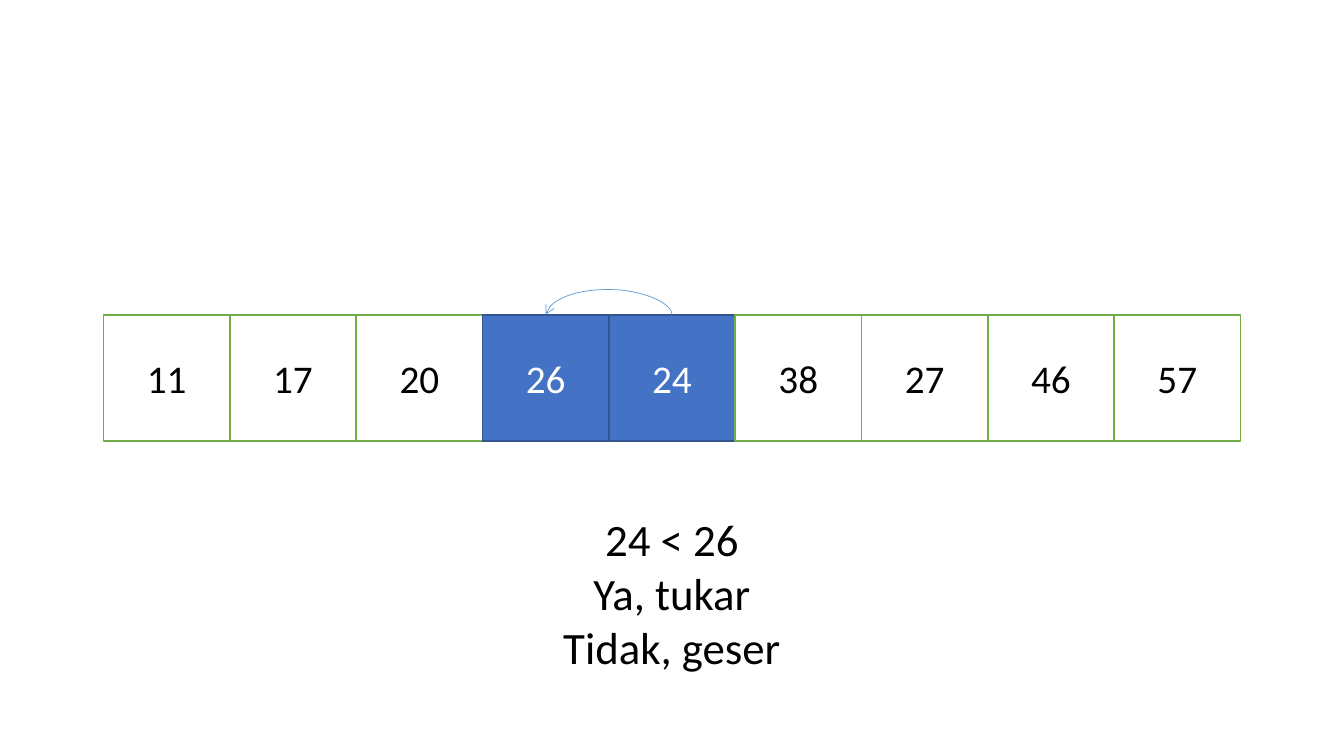
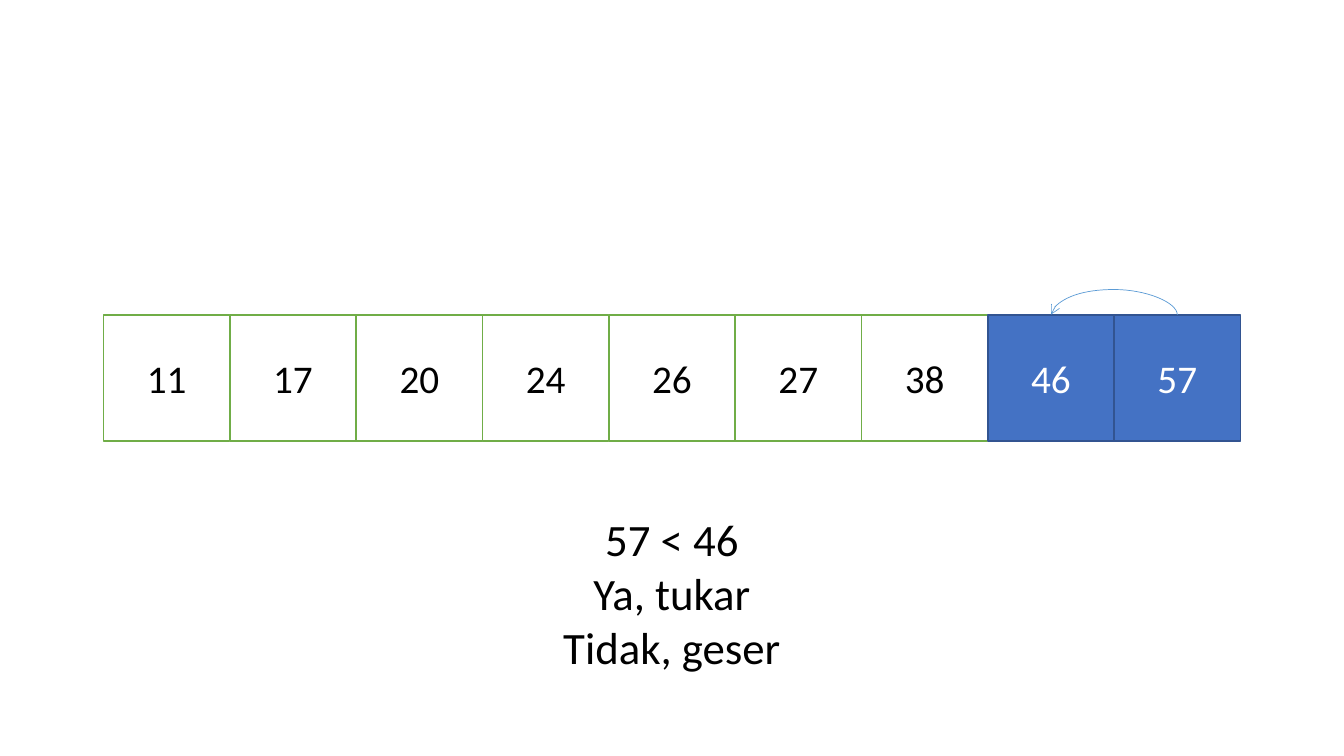
import pptx
import pptx.util
import pptx.dml.color
import pptx.enum.shapes
import pptx.enum.text
import pptx.oxml
import pptx.oxml.ns

# Shared look; lengths are px, 300 to the inch
PX = 3048
WIDE, HIGH = 4000, 2250
FONT = "Calibri"
COLORS = {
    "paper": "FFFFFF",
    "ink": "000000",
    "edge": "70AD47",
    "mark": "4472C4",
    "rim": "325491",
    "arc": "5B9BD5",
}
CELL, LEFT, TOP = 376, 308, 937
RISE = 80
NOTE = (1316, 1509, 1368, 516)

# Numbers in the row, and the position of the left one of the compared pair
STEPS = [
    ([11, 17, 20, 26, 24, 38, 27, 46, 57], 3),
    ([11, 17, 20, 24, 26, 27, 38, 46, 57], 7),
]


def px(*sizes):
    return [pptx.util.Emu(size * PX) for size in sizes]


def color(name):
    return pptx.dml.color.RGBColor.from_string(COLORS[name])


def style(frame, size, ink):
    for para in frame.paragraphs:
        para.alignment = pptx.enum.text.PP_ALIGN.CENTER
        for run in para.runs:
            run.font.name = FONT
            run.font.size = pptx.util.Pt(size)
            run.font.color.rgb = color(ink)


def add_cell(slide, index, value, active):
    fill, edge, ink = ("mark", "rim", "paper") if active else ("paper", "edge", "ink")
    box = slide.shapes.add_shape(
        pptx.enum.shapes.MSO_SHAPE.RECTANGLE,
        *px(LEFT + index * CELL, TOP, CELL, CELL))
    box.shadow.inherit = False
    box.fill.solid()
    box.fill.fore_color.rgb = color(fill)
    box.line.color.rgb = color(edge)
    box.line.width = pptx.util.Pt(1)
    box.text_frame.text = str(value)
    box.text_frame.vertical_anchor = pptx.enum.text.MSO_ANCHOR.MIDDLE
    style(box.text_frame, 28, ink)
    return box


def add_note(slide, text):
    box = slide.shapes.add_textbox(*px(*NOTE))
    frame = box.text_frame
    frame.word_wrap = True
    frame.auto_size = pptx.enum.text.MSO_AUTO_SIZE.SHAPE_TO_FIT_TEXT
    frame.text = text
    style(frame, 32, "ink")


def add_node(parent, tag, **attrs):
    node = pptx.oxml.parse_xml(f"<{tag} {pptx.oxml.ns.nsdecls('a')}/>")
    for key, value in attrs.items():
        node.set(key, value)
    parent.append(node)


def add_arc(slide, first, second):
    arc = slide.shapes.add_connector(
        pptx.enum.shapes.MSO_CONNECTOR.CURVE, 0, 0, 0, 0)
    arc.begin_connect(first, 0)
    arc.end_connect(second, 0)

    # A one px wide curve, turned on its side, bulges up by RISE px
    arc.left = second.left - PX // 2
    arc.top = first.top - CELL * PX // 2
    arc.width, arc.height = px(1, CELL)
    props = arc.element.spPr
    props.xfrm.set("rot", str(270 * 60000))
    guides = props.xpath("a:prstGeom/a:avLst")[0]
    add_node(guides, "a:gd", name="adj1", fmla=f"val {RISE * 100000}")

    arc.line.color.rgb = color("arc")
    arc.line.width = pptx.util.Pt(0.5)
    add_node(props.xpath("a:ln")[0], "a:tailEnd", type="arrow")
    add_node(props, "a:effectLst")


def add_step(deck, values, start):
    slide = deck.slides.add_slide(deck.slide_layouts[6])
    pair = (start, start + 1)
    cells = [add_cell(slide, index, value, index in pair)
             for index, value in enumerate(values)]
    left, right = pair
    add_note(slide, f"{values[right]} < {values[left]}\nYa, tukar\nTidak, geser")
    add_arc(slide, cells[left], cells[right])


def main():
    deck = pptx.Presentation()
    deck.slide_width, deck.slide_height = px(WIDE, HIGH)
    for values, start in STEPS:
        add_step(deck, values, start)
    deck.save("out.pptx")


if __name__ == "__main__":
    main()
